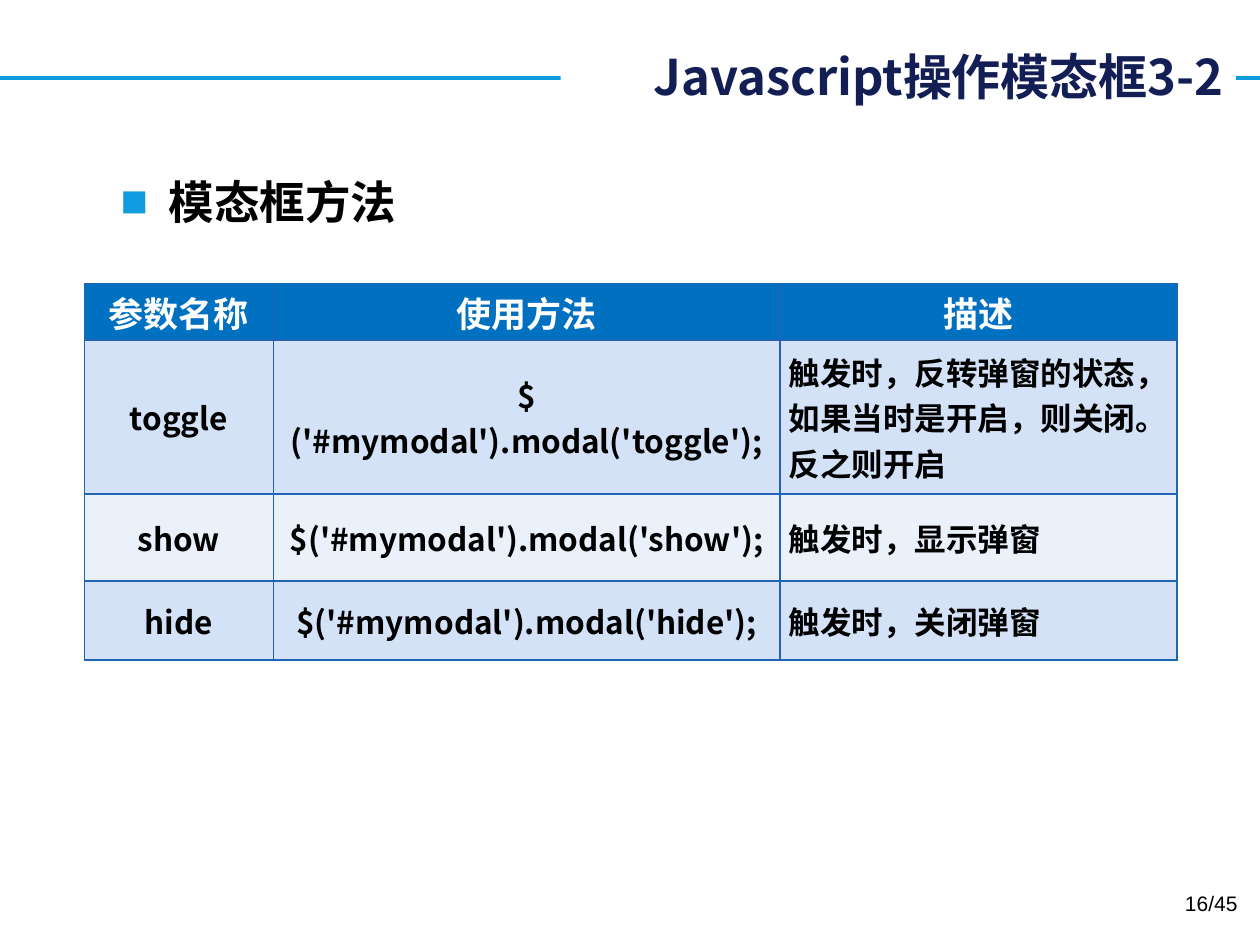
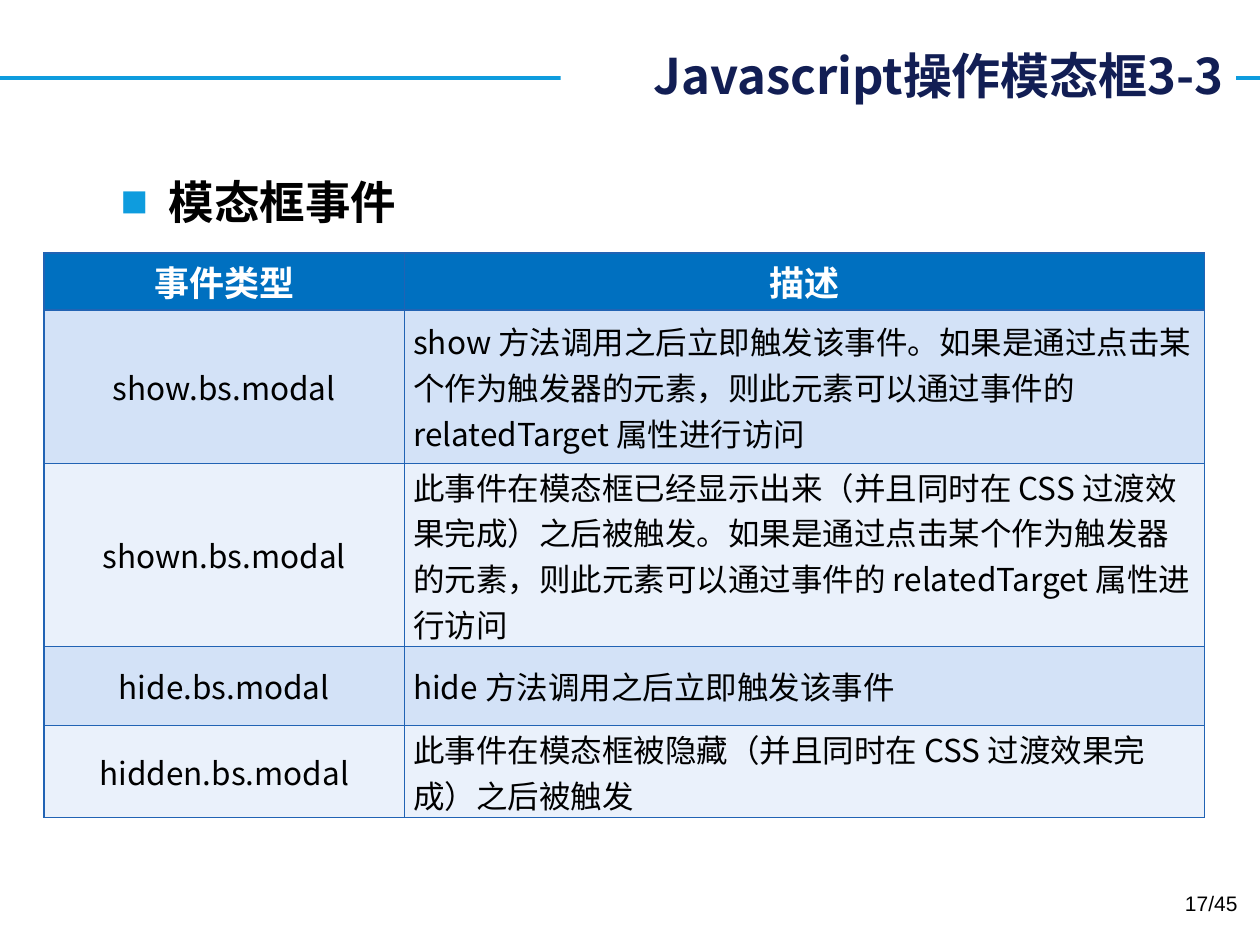
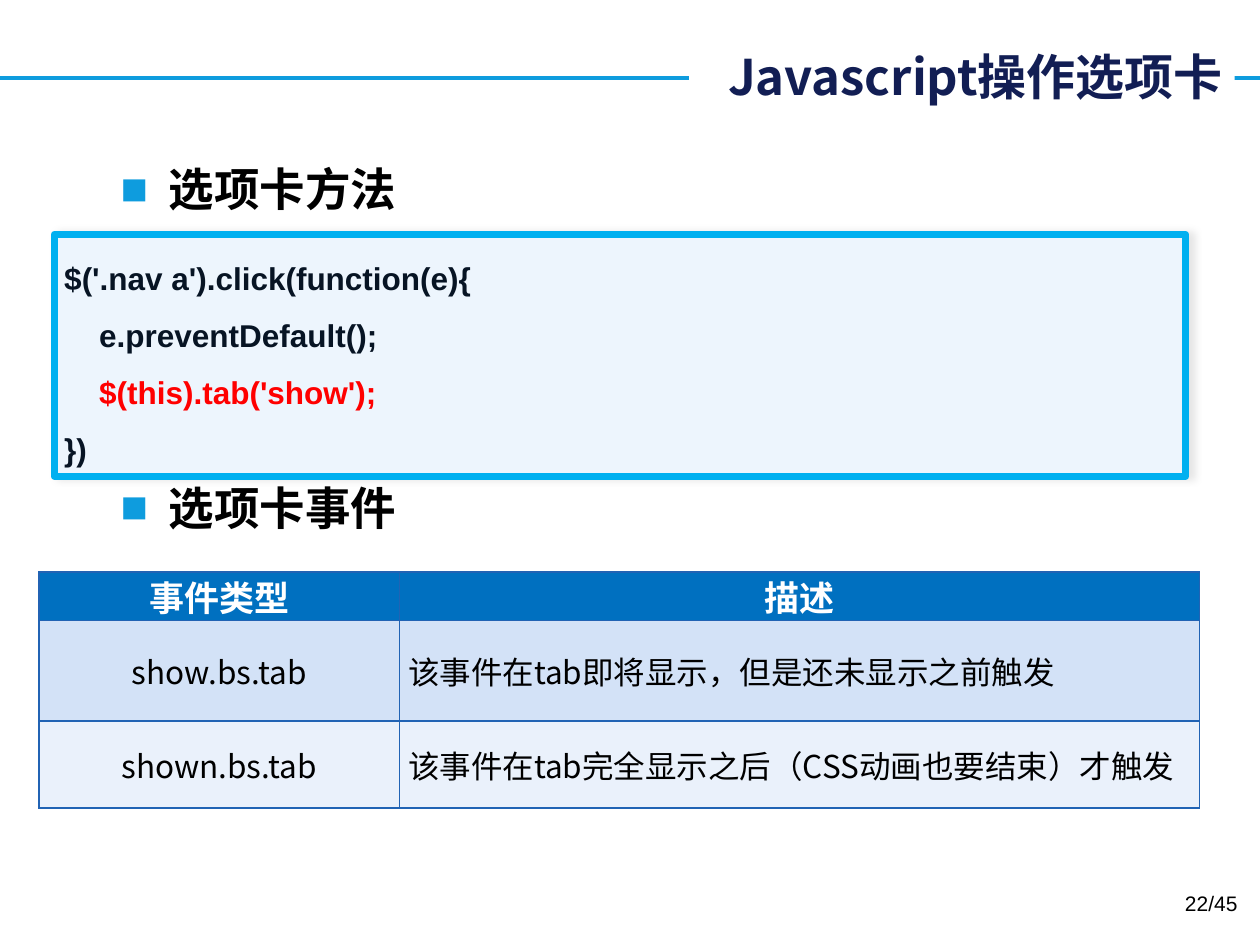
from lxml import etree
from pptx import Presentation
from pptx.dml.color import RGBColor
from pptx.enum.shapes import MSO_CONNECTOR, MSO_SHAPE
from pptx.enum.text import MSO_ANCHOR, PP_ALIGN
from pptx.oxml import parse_xml
from pptx.oxml.ns import nsdecls, qn
from pptx.util import Inches, Pt

LEFT, CENTER, RIGHT = PP_ALIGN.LEFT, PP_ALIGN.CENTER, PP_ALIGN.RIGHT
TOP, MIDDLE = MSO_ANCHOR.TOP, MSO_ANCHOR.MIDDLE
STRAIGHT = MSO_CONNECTOR.STRAIGHT
RECT, ROUND_RECT = MSO_SHAPE.RECTANGLE, MSO_SHAPE.ROUNDED_RECTANGLE

COLS, ROWS = 100, 75
CELL = Inches(0.1)
SANS, CJK = "Arial", "Noto Sans CJK SC"
WHITE, BLACK, RED = "FFFFFF", "000000", "FF0000"
ACCENT, NAVY = "0E9CDE", "121E54"
HEADER, BORDER = "0070C0", "2163B4"
BANDS = ("D3E2F7", "EAF1FB")
CODE_FILL, CODE_LINE, CODE_TEXT = "EDF5FD", "00B0F0", "071424"
TOTAL_PAGES = 45
EVENT_COLS = (28.6, 63.5)
EVENT_HEAD = ("事件类型", "描述")


def grid(*cells):
    return [round(c * CELL) for c in cells]


def rgb(value):
    return RGBColor.from_string(value)


def fill(target, color):
    target.fill.solid()
    target.fill.fore_color.rgb = rgb(color)


def style(p, size, color, font=SANS, bold=False, align=LEFT):
    p.alignment = align
    for r in p.runs:
        r.font.size, r.font.bold, r.font.name = Pt(size), bold, font
        r.font.color.rgb = rgb(color)
        ea = etree.SubElement(r._r.get_or_add_rPr(), qn("a:ea"))
        ea.set("typeface", font)


def add_text(s, box, text, *look, **options):
    tf = s.shapes.add_textbox(*grid(*box)).text_frame
    tf.word_wrap = True
    tf.text = text
    style(tf.paragraphs[0], *look, **options)
    return tf.paragraphs[0]


def add_frame(s, title, title_box, page):
    rule = s.shapes.add_connector(STRAIGHT, *grid(0, 6.2, COLS, 6.2))
    rule.line.color.rgb = rgb(ACCENT)
    rule.line.width = Pt(2.25)
    etree.SubElement(rule._element.spPr, qn("a:effectLst"))

    sp = s.shapes.add_shape(RECT, *grid(*title_box))
    sp.shadow.inherit = False
    fill(sp, WHITE)
    sp.line.fill.background()
    tf = sp.text_frame
    tf.word_wrap = True
    tf.vertical_anchor = MIDDLE
    tf.text = title
    style(tf.paragraphs[0], 28, NAVY, CJK, True, RIGHT)

    add_text(s, (75.9, 70.2, 23.3, 4), f"{page}/{TOTAL_PAGES}", 12, BLACK, align=RIGHT)


def add_heading(s, top, text):
    p = add_text(s, (8.6, top, 83.6, 5.5), text, 26, BLACK, bold=True)
    pPr = p._p.get_or_add_pPr()
    pPr.set("marL", str(Inches(0.38)))
    pPr.set("indent", str(-Inches(0.38)))
    color = etree.SubElement(pPr, qn("a:buClr"))
    etree.SubElement(color, qn("a:srgbClr")).set("val", ACCENT)
    etree.SubElement(pPr, qn("a:buFont")).set("typeface", SANS)
    etree.SubElement(pPr, qn("a:buChar")).set("char", "■")


def add_borders(cell):
    tcPr = cell._tc.get_or_add_tcPr()
    for i, side in enumerate(("lnL", "lnR", "lnT", "lnB")):
        tcPr.insert(i, parse_xml(
            f'<a:{side} {nsdecls("a")} w="{Pt(1)}"><a:solidFill>'
            f'<a:srgbClr val="{BORDER}"/></a:solidFill></a:{side}>'))


def add_grid_table(s, left, top, widths, heights, rows, bold=False):
    box = grid(left, top, sum(widths), sum(heights))
    table = s.shapes.add_table(len(rows), len(widths), *box).table
    for column, width in zip(table.columns, grid(*widths)):
        column.width = width
    for row, height in zip(table.rows, grid(*heights)):
        row.height = height
    for i, texts in enumerate(rows):
        for j, text in enumerate(texts):
            cell = table.cell(i, j)
            cell.vertical_anchor = MIDDLE
            cell.margin_left = cell.margin_right = Inches(0.07)
            cell.margin_top = cell.margin_bottom = 0
            cell.text = text
            p = cell.text_frame.paragraphs[0]
            if i == 0:
                cell.margin_top = Inches(0.05)
                fill(cell, HEADER)
                style(p, 20, WHITE, bold=True, align=CENTER)
            else:
                fill(cell, BANDS[(i - 1) % 2])
                align = LEFT if j == len(texts) - 1 else CENTER
                style(p, 18, BLACK, CJK, bold, align)
            add_borders(cell)


def add_code(s, box, lines):
    sp = s.shapes.add_shape(ROUND_RECT, *grid(*box))
    sp.adjustments[0] = 0
    fill(sp, CODE_FILL)
    sp.line.color.rgb = rgb(CODE_LINE)
    sp.line.width = Pt(4)
    sp._element.spPr.append(parse_xml(
        f'<a:effectLst {nsdecls("a")}><a:outerShdw blurRad="{Pt(4)}" dist="{Pt(3)}" dir="0">'
        f'<a:srgbClr val="{BLACK}"><a:alpha val="10000"/></a:srgbClr></a:outerShdw></a:effectLst>'))
    tf = sp.text_frame
    tf.word_wrap = True
    tf.vertical_anchor = TOP
    tf.margin_left = tf.margin_right = Inches(0.08)
    tf.text = "\n".join(text for text, _ in lines)
    for p, (_, color) in zip(tf.paragraphs, lines):
        p.line_spacing = 1.5
        style(p, 18, color, bold=True)


def methods_slide(s):
    add_frame(s, "Javascript操作模态框3-2", (44.5, 0.8, 53.6, 10.4), 16)
    add_heading(s, 13.3, "模态框方法")
    add_grid_table(s, 6.7, 22.5, (15, 40.2, 31.5), (4.5, 12.2, 6.9, 6.3), [
        ("参数名称", "使用方法", "描述"),
        ("toggle", "$('#mymodal').modal('toggle');",
         "触发时，反转弹窗的状态，如果当时是开启，则关闭。反之则开启"),
        ("show", "$('#mymodal').modal('show');", "触发时，显示弹窗"),
        ("hide", "$('#mymodal').modal('hide');", "触发时，关闭弹窗"),
    ], bold=True)


def events_slide(s):
    add_frame(s, "Javascript操作模态框3-3", (44.5, 3.1, 53.6, 5.7), 17)
    add_heading(s, 13.3, "模态框事件")
    add_grid_table(s, 3.5, 20.1, EVENT_COLS, (4.5, 12.2, 14.5, 6.3, 7.3), [
        EVENT_HEAD,
        ("show.bs.modal", "show 方法调用之后立即触发该事件。如果是通过点击某个作为触发器的元素，"
                          "则此元素可以通过事件的 relatedTarget 属性进行访问"),
        ("shown.bs.modal", "此事件在模态框已经显示出来（并且同时在 CSS 过渡效果完成）之后被触发。"
                           "如果是通过点击某个作为触发器的元素，"
                           "则此元素可以通过事件的 relatedTarget 属性进行访问"),
        ("hide.bs.modal", "hide 方法调用之后立即触发该事件"),
        ("hidden.bs.modal", "此事件在模态框被隐藏（并且同时在 CSS 过渡效果完成）之后被触发"),
    ])


def tabs_slide(s):
    add_frame(s, "Javascript操作选项卡", (54.7, 0.8, 43.3, 10.4), 22)
    add_heading(s, 12.3, "选项卡方法")
    add_code(s, (4.3, 18.6, 89.8, 19.2), [
        ("$('.nav a').click(function(e){", CODE_TEXT),
        ("    e.preventDefault();", CODE_TEXT),
        ("    $(this).tab('show');", RED),
        ("})", CODE_TEXT),
    ])
    add_heading(s, 37.6, "选项卡事件")
    add_grid_table(s, 3.1, 45.4, EVENT_COLS, (3.8, 8, 6.9), [
        EVENT_HEAD,
        ("show.bs.tab", "该事件在tab即将显示，但是还未显示之前触发"),
        ("shown.bs.tab", "该事件在tab完全显示之后（CSS动画也要结束）才触发"),
    ])


def main():
    prs = Presentation()
    prs.slide_width, prs.slide_height = grid(COLS, ROWS)
    for build in (methods_slide, events_slide, tabs_slide):
        build(prs.slides.add_slide(prs.slide_layouts[6]))
    prs.save("out.pptx")


if __name__ == "__main__":
    main()
